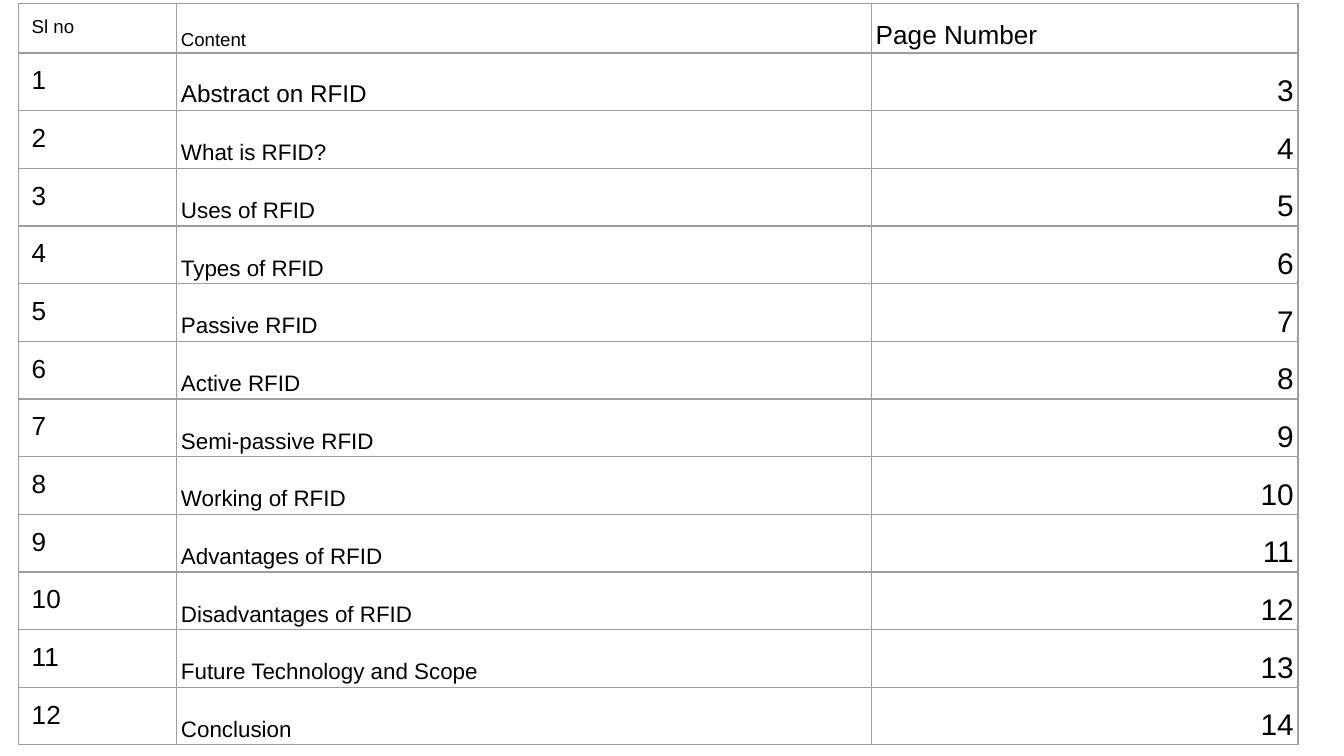
"""Build a table of contents slide for an RFID presentation."""

from dataclasses import dataclass

from lxml import etree
from pptx import Presentation
from pptx.dml.color import RGBColor
from pptx.enum.text import MSO_ANCHOR, PP_ALIGN
from pptx.oxml.ns import qn
from pptx.table import Table, _Cell
from pptx.util import Cm, Pt

TOP, BOTTOM = MSO_ANCHOR.TOP, MSO_ANCHOR.BOTTOM
LEFT, RIGHT = PP_ALIGN.LEFT, PP_ALIGN.RIGHT

FONT = "Arial"
TEXT_COLOR = "000000"
BORDER_COLOR = "9E9E9E"
BORDER_WIDTH = Pt(0.75)
HEADER_HEIGHT = Cm(0.93)
ROW_HEIGHT = Cm(1.09)
FIRST_PAGE = 3


@dataclass(frozen=True)
class Column:
    heading: str
    width: Cm
    heading_size: int
    body_size: int
    anchor: MSO_ANCHOR
    alignment: PP_ALIGN
    side_margin: Cm
    end_margin: Cm
    line_spacing: float


COLUMNS = [
    Column("Sl no", Cm(2.99), 10, 14, TOP, LEFT, Cm(0.25), Cm(0.25), 1.0),
    Column("Content", Cm(13.13), 10, 12, BOTTOM, LEFT, Cm(0.08), Cm(0.05), 1.15),
    Column("Page Number", Cm(8.06), 14, 16, BOTTOM, RIGHT, Cm(0.08), Cm(0.05), 1.15),
]

TOPICS = [
    "Abstract on RFID",
    "What is RFID?",
    "Uses of RFID",
    "Types of RFID",
    "Passive RFID",
    "Active RFID",
    "Semi-passive RFID",
    "Working of RFID",
    "Advantages of RFID",
    "Disadvantages of RFID",
    "Future Technology and Scope",
    "Conclusion",
]
EMPHASISED_SIZES = {"Abstract on RFID": 13}


def color(value: str) -> RGBColor:
    return RGBColor.from_string(value)


def add_borders(cell: _Cell) -> None:
    properties = cell._tc.get_or_add_tcPr()
    for side in ("a:lnL", "a:lnR", "a:lnT", "a:lnB"):
        line = etree.SubElement(properties, qn(side), w=str(int(BORDER_WIDTH)))
        fill = etree.SubElement(line, qn("a:solidFill"))
        etree.SubElement(fill, qn("a:srgbClr"), val=BORDER_COLOR)


def write_cell(cell: _Cell, column: Column, text: str, size: int, alignment: PP_ALIGN) -> None:
    cell.vertical_anchor = column.anchor
    cell.margin_left = cell.margin_right = column.side_margin
    cell.margin_top = cell.margin_bottom = column.end_margin
    add_borders(cell)
    cell.fill.background()
    paragraph = cell.text_frame.paragraphs[0]
    paragraph.alignment = alignment
    paragraph.line_spacing = column.line_spacing
    run = paragraph.add_run()
    run.text = text
    run.font.name = FONT
    run.font.size = Pt(size)
    run.font.color.rgb = color(TEXT_COLOR)


def fill_table(table: Table) -> None:
    table.first_row = False
    table.horz_banding = False
    for index, column in enumerate(COLUMNS):
        table.columns[index].width = column.width
        write_cell(table.cell(0, index), column, column.heading, column.heading_size, LEFT)
    for row in table.rows:
        row.height = ROW_HEIGHT
    table.rows[0].height = HEADER_HEIGHT
    for number, topic in enumerate(TOPICS, start=1):
        values = (str(number), topic, str(FIRST_PAGE + number - 1))
        for index, (column, text) in enumerate(zip(COLUMNS, values)):
            size = EMPHASISED_SIZES.get(text, column.body_size)
            write_cell(table.cell(number, index), column, text, size, column.alignment)


def main() -> None:
    presentation = Presentation()
    presentation.slide_width = Cm(25.4)
    presentation.slide_height = Cm(14.29)
    slide = presentation.slides.add_slide(presentation.slide_layouts[6])
    width = sum(column.width for column in COLUMNS)
    height = HEADER_HEIGHT + ROW_HEIGHT * len(TOPICS)
    frame = slide.shapes.add_table(
        len(TOPICS) + 1, len(COLUMNS), Cm(0.35), Cm(0.07), width, height
    )
    fill_table(frame.table)
    presentation.save("out.pptx")


if __name__ == "__main__":
    main()
